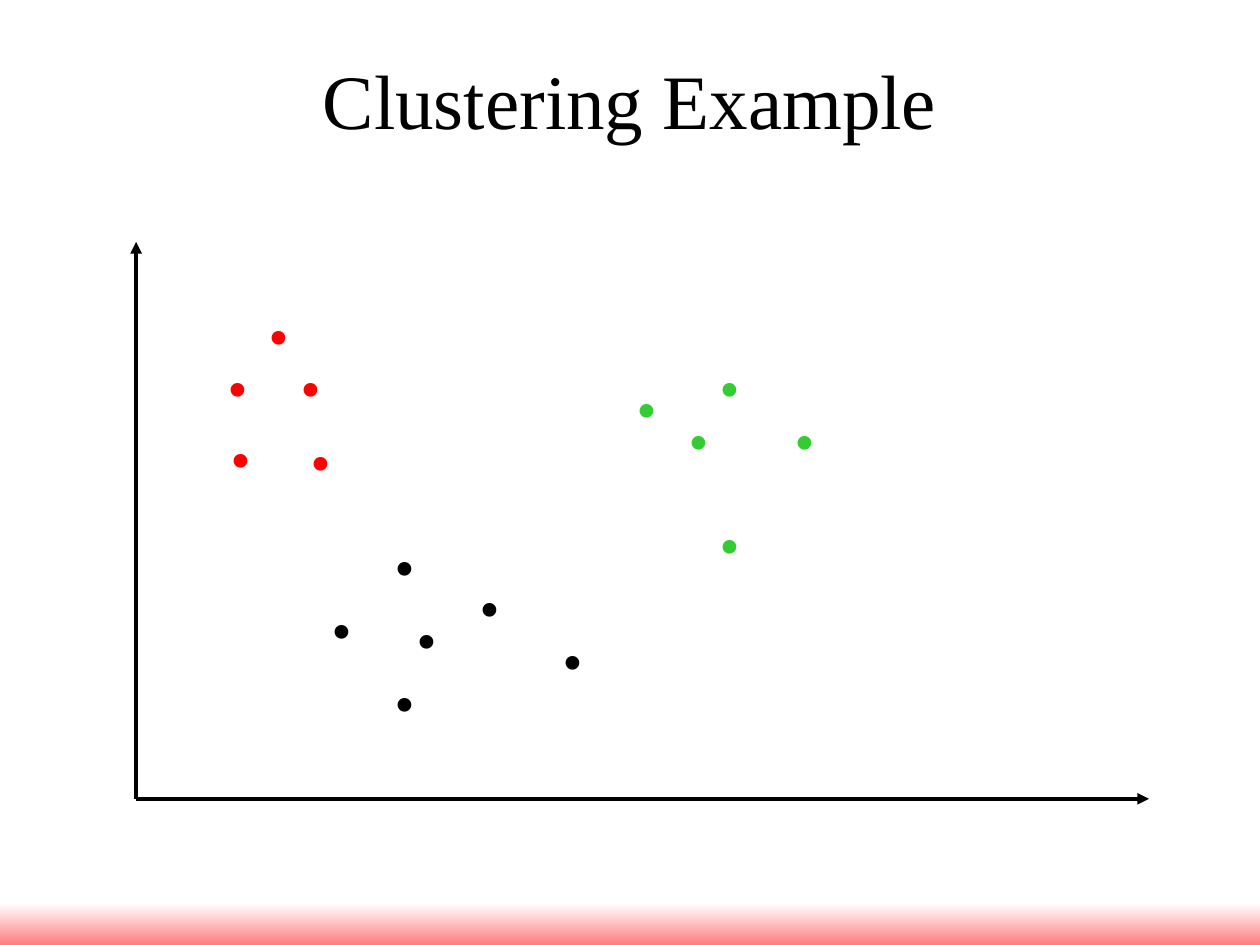
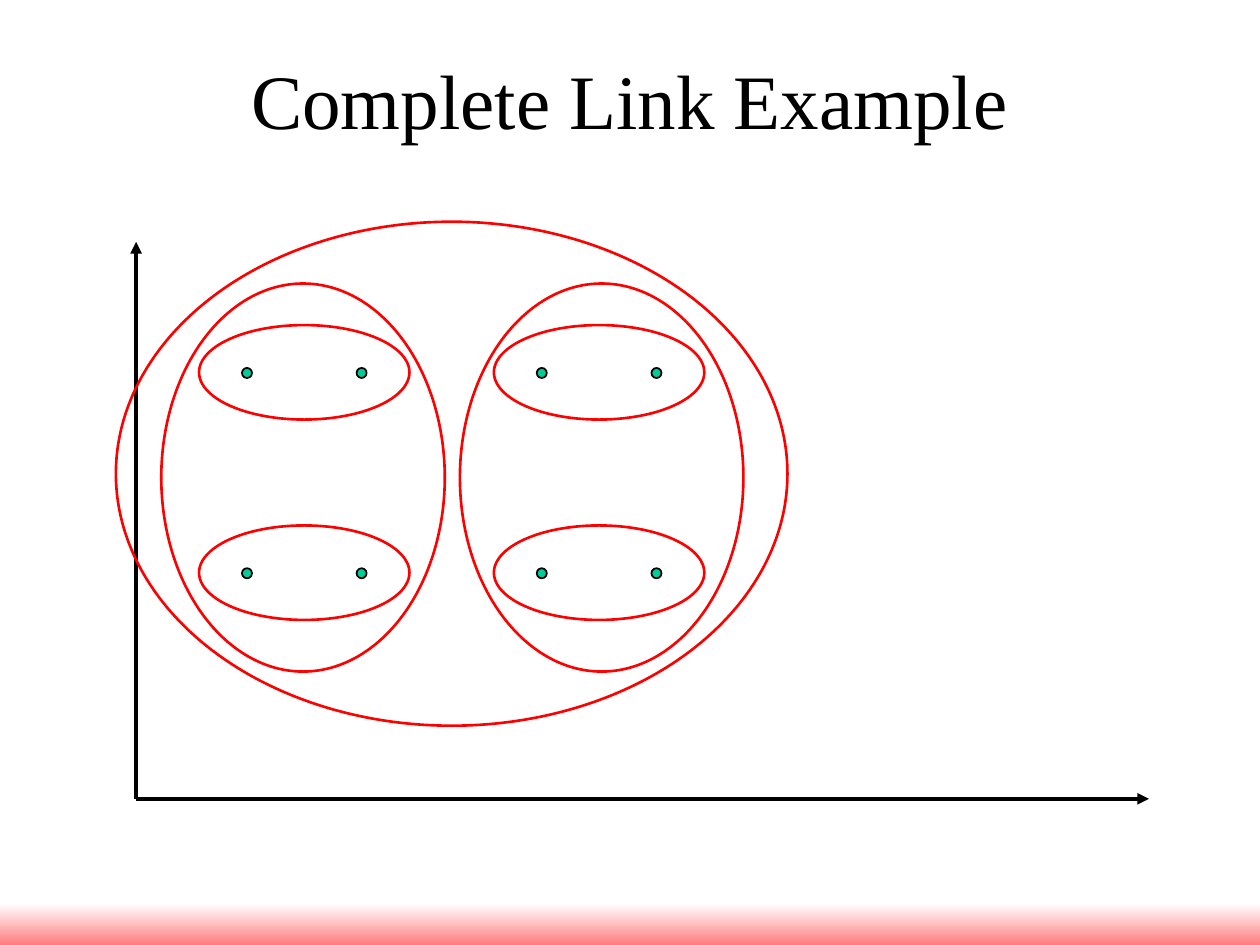
from itertools import product

from lxml.etree import SubElement
from pptx import Presentation
from pptx.dml.color import RGBColor
from pptx.enum.shapes import MSO_CONNECTOR, MSO_SHAPE
from pptx.enum.text import MSO_ANCHOR, PP_ALIGN
from pptx.oxml.ns import qn
from pptx.util import Inches, Pt

BLACK = RGBColor(0x00, 0x00, 0x00)
WHITE = RGBColor(0xFF, 0xFF, 0xFF)
RED = RGBColor(0xFF, 0x00, 0x00)
GREEN = RGBColor(0x33, 0xCC, 0x33)
TEAL = RGBColor(0x00, 0xCC, 0x99)
PINK = RGBColor(0xFF, 0x7C, 0x80)
FONT = "Times New Roman"
TITLE_BOX = (0.5, 0.3, 9, 1.25)
BAND_BOX = (0, 7.17, 10, 0.33)
PLOT_BOX = (1.08, 1.92, 8.04, 4.42)
OUTER_BOX = (0.92, 1.76, 5.33, 4)
POINT_WIDTH, POINT_HEIGHT = 0.43, 1.2
DOT_SIZE = 0.08

CLUSTERS = {
    RED: [(0.62, 0.73), (0.59, 0.16), (1.25, 0.75), (1.17, 0.16), (0.92, -0.25)],
    BLACK: [(1.42, 2.08), (2.59, 1.91), (1.92, 2.66), (3.25, 2.33), (2.09, 2.16), (1.92, 1.58)],
    GREEN: [(3.84, 0.33), (5.09, 0.58), (4.25, 0.58), (4.5, 0.16), (4.5, 1.41)],
}


def style_text(shape, text, size, color, margin_top):
    """Write one centred line of text at the top of a shape."""
    frame = shape.text_frame
    frame.text = text
    frame.vertical_anchor = MSO_ANCHOR.TOP
    frame.margin_top = Inches(margin_top)
    paragraph = frame.paragraphs[0]
    paragraph.alignment = PP_ALIGN.CENTER
    paragraph.font.name = FONT
    paragraph.font.size = Pt(size)
    paragraph.font.color.rgb = color


def add_master_band(presentation, slide):
    """Place the gradient band at the foot of the slide master."""
    band = slide.shapes.add_shape(MSO_SHAPE.RECTANGLE, *map(Inches, BAND_BOX))
    band.shadow.inherit = False
    band.line.fill.background()
    band.fill.gradient()
    band.fill.gradient_angle = 270
    for stop, color in zip(band.fill.gradient_stops, (WHITE, PINK)):
        stop.color.rgb = color
    presentation.slide_master.element.cSld.spTree.insert(2, band.element)


def add_titled_slide(presentation, title):
    """Add a slide with the shared title style and plot axes."""
    slide = presentation.slides.add_slide(presentation.slide_layouts[5])
    shape = slide.shapes.title
    shape.left, shape.top, shape.width, shape.height = map(Inches, TITLE_BOX)
    style_text(shape, title, 44, BLACK, 0.12)
    add_axes(slide, PLOT_BOX)
    return slide


def add_axes(slide, box):
    """Draw arrows up the left side and along the bottom of a box."""
    left, top, width, height = box
    bottom = top + height
    for end in ((left, top), (left + width, bottom)):
        axis = slide.shapes.add_connector(
            MSO_CONNECTOR.STRAIGHT, *map(Inches, (left, bottom, *end)))
        axis.line.color.rgb = BLACK
        axis.line.width = Pt(2.25)
        SubElement(axis.line._get_or_add_ln(), qn("a:tailEnd"), type="triangle")
        SubElement(axis.element.spPr, qn("a:effectLst"))


def add_clusters(slide, box):
    """Scatter the coloured points of each cluster over a plot box."""
    left, top = box[:2]
    for color, points in CLUSTERS.items():
        for x, y in points:
            point = slide.shapes.add_textbox(
                *map(Inches, (left + x, top + y, POINT_WIDTH, POINT_HEIGHT)))
            point.text_frame.word_wrap = False
            style_text(point, ".", 66, color, 0.14)


def add_ellipse(slide, box, line_color, line_width, fill_color=None):
    """Draw an outlined ellipse, filled only when a fill colour is given."""
    ellipse = slide.shapes.add_shape(MSO_SHAPE.OVAL, *map(Inches, box))
    ellipse.shadow.inherit = False
    ellipse.line.color.rgb = line_color
    ellipse.line.width = Pt(line_width)
    if fill_color is None:
        ellipse.fill.background()
    else:
        ellipse.fill.solid()
        ellipse.fill.fore_color.rgb = fill_color


def add_nested_links(slide, box):
    """Draw dot pairs and the ellipses that merge them level by level."""
    left, top = box[:2]
    for column, row in product(range(2), range(2)):
        pair_left = left + 0.66 + 2.34 * column
        pair_top = top + 0.82 + 1.59 * row
        for offset in (0.34, 1.25):
            dot = (pair_left + offset, pair_top + 0.34, DOT_SIZE, DOT_SIZE)
            add_ellipse(slide, dot, BLACK, 1, TEAL)
        add_ellipse(slide, (pair_left, pair_top, 1.67, 0.75), RED, 1.5)
    for column in range(2):
        add_ellipse(slide, (left + 0.36 + 2.37 * column, top + 0.49, 2.25, 3.08), RED, 1.5)
    add_ellipse(slide, box, RED, 1.5)


def main():
    """Build and save both slides."""
    presentation = Presentation()
    presentation.slide_width = Inches(10)
    presentation.slide_height = Inches(7.5)
    clustering = add_titled_slide(presentation, "Clustering Example")
    add_master_band(presentation, clustering)
    add_clusters(clustering, PLOT_BOX)
    complete_link = add_titled_slide(presentation, "Complete Link Example")
    add_nested_links(complete_link, OUTER_BOX)
    presentation.save("out.pptx")


if __name__ == "__main__":
    main()
